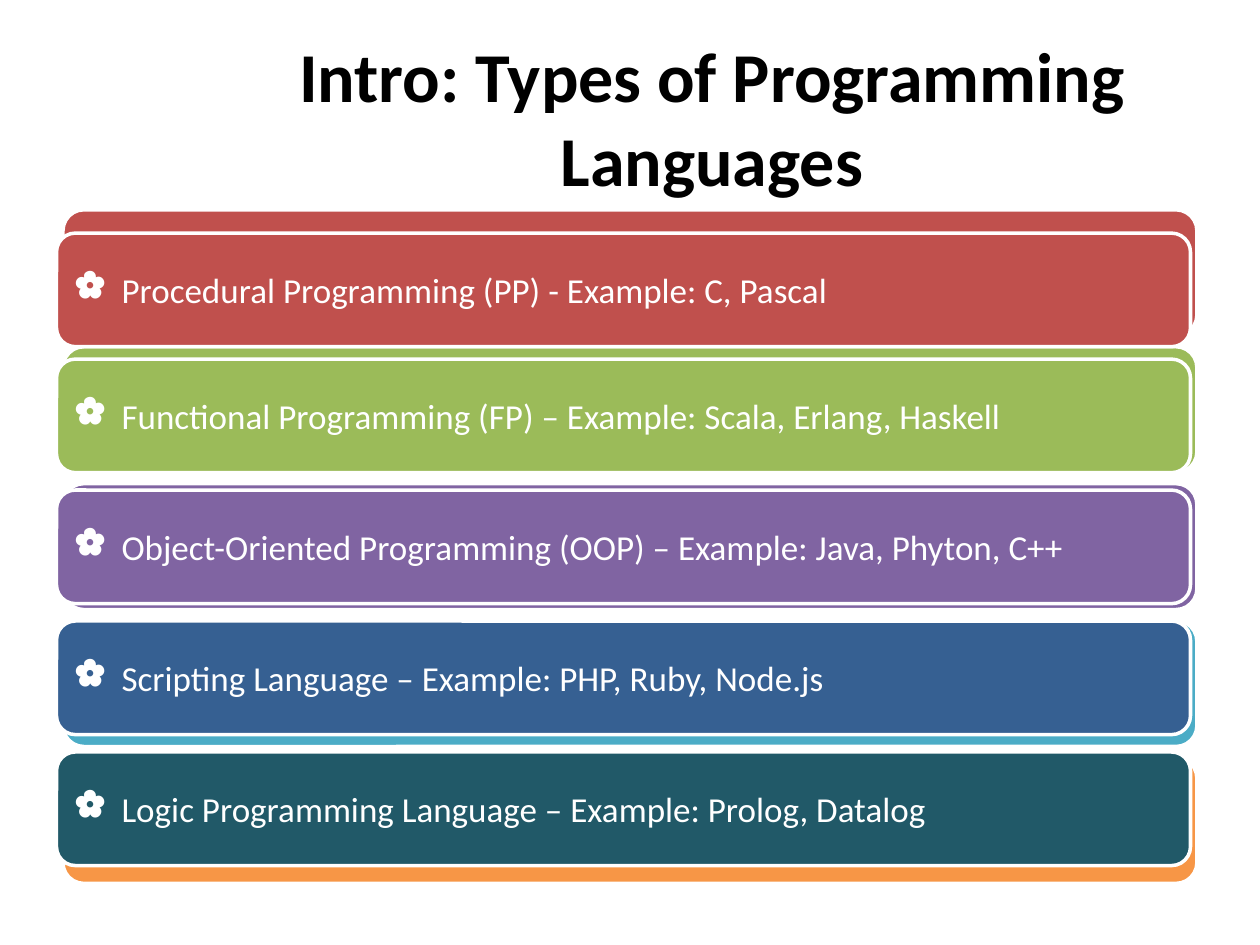
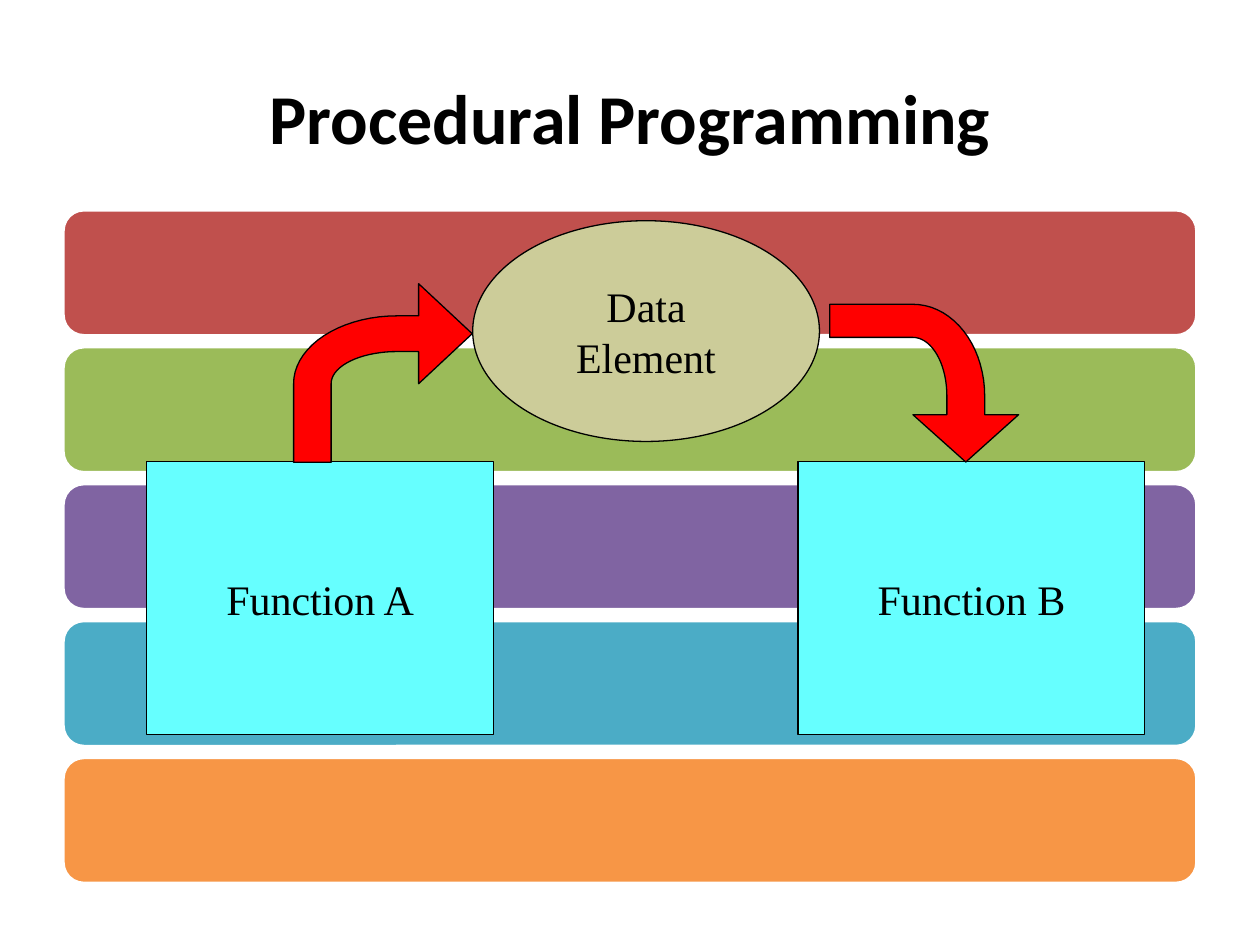
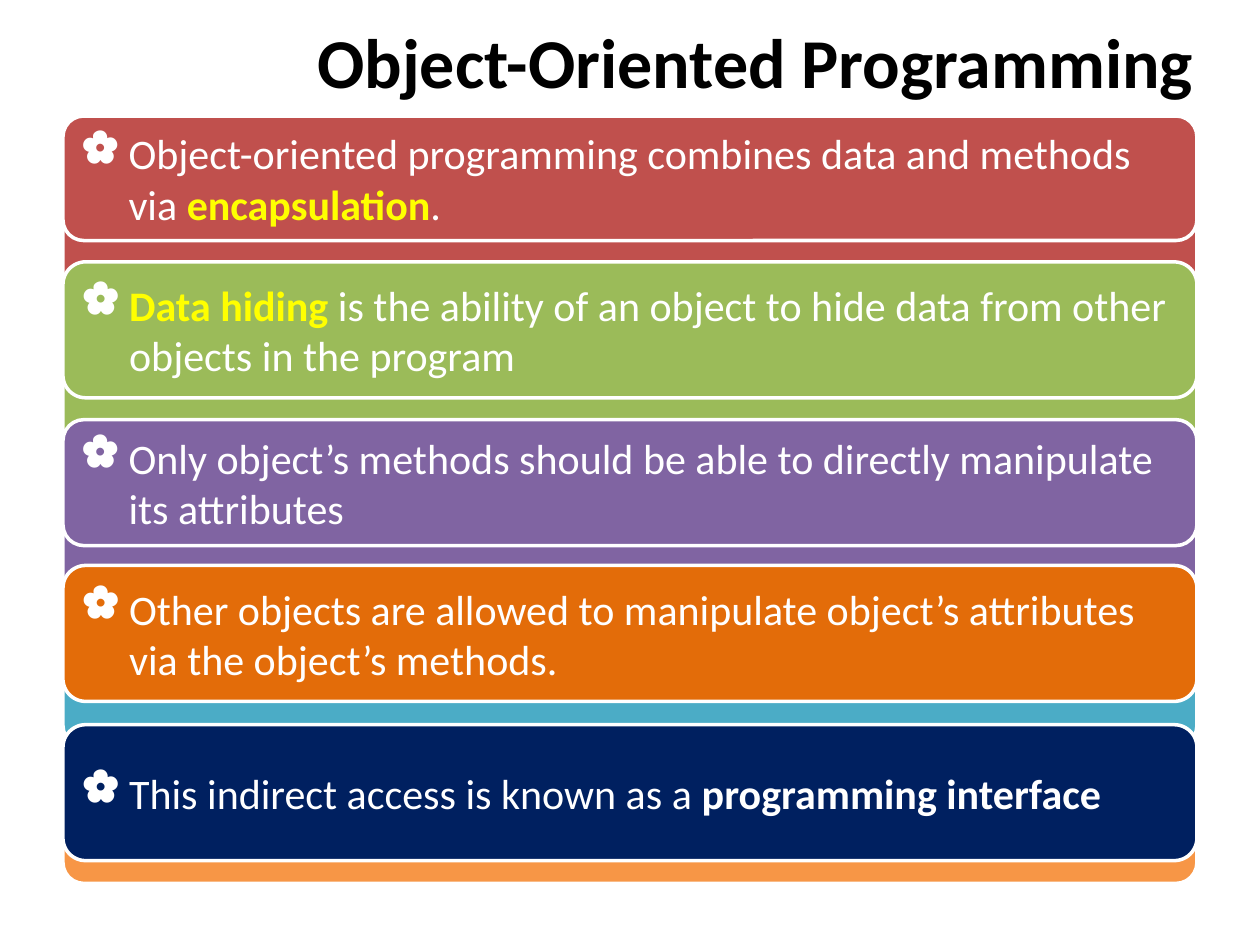
import math

import lxml.etree
import pptx
import pptx.dml.color
import pptx.enum.shapes
import pptx.enum.text
import pptx.oxml.ns
import pptx.util

Cm = pptx.util.Cm
Pt = pptx.util.Pt
KIND = pptx.enum.shapes.MSO_SHAPE
ALIGN = pptx.enum.text.PP_ALIGN

COLORS = {
    "white": "FFFFFF", "black": "000000", "yellow": "FFFF00",
    "red": "C0504D", "green": "9BBB59", "purple": "8064A2",
    "aqua": "4BACC6", "orange": "F79646", "blue": "366092",
    "teal": "215968", "rust": "E36C09", "navy": "002060",
    "cyan": "66FFFF", "sand": "CCCC99", "arrow": "FF0000",
}
HEAD = {"name": "Calibri", "size": Pt(40), "bold": True}
ITEM = {"name": "Calibri", "size": Pt(20), "bold": False}
POINT = {**ITEM, "size": Pt(24)}
STRONG = {**POINT, "bold": True}
LABEL = {"name": "Times New Roman", "size": Pt(24), "bold": False}
FLOWER = "{"  # the rosette in Wingdings
LEFT, WIDTH = 1.27, 22.86


def paint(shape, fill, line, weight):
    shape.shadow.inherit = False
    shape.fill.solid()
    shape.fill.fore_color.rgb = pptx.dml.color.RGBColor.from_string(COLORS[fill])
    shape.line.color.rgb = pptx.dml.color.RGBColor.from_string(COLORS[line])
    shape.line.width = Pt(weight)
    return shape


def write(shape, runs, align=ALIGN.CENTER, bullet=None):
    """Fill the shape with one paragraph of (text, format, color) runs."""
    frame = shape.text_frame
    frame.word_wrap = True
    frame.auto_size = pptx.enum.text.MSO_AUTO_SIZE.NONE
    frame.vertical_anchor = pptx.enum.text.MSO_ANCHOR.MIDDLE
    para = frame.paragraphs[0]
    para.alignment = align
    if bullet:
        props = para._p.get_or_add_pPr()
        props.set("marL", str(Cm(0.95)))
        props.set("indent", str(-Cm(0.95)))
        tint = lxml.etree.SubElement(props, pptx.oxml.ns.qn("a:buClr"))
        lxml.etree.SubElement(tint, pptx.oxml.ns.qn("a:srgbClr"), val=COLORS["white"])
        lxml.etree.SubElement(
            props, pptx.oxml.ns.qn("a:buFont"),
            typeface="Wingdings", pitchFamily="2", charset="2")
        lxml.etree.SubElement(props, pptx.oxml.ns.qn("a:buChar"), char=bullet)
    for text, style, color in runs:
        run = para.add_run()
        run.text = text
        for key, value in style.items():
            setattr(run.font, key, value)
        run.font.color.rgb = pptx.dml.color.RGBColor.from_string(COLORS[color])


deck = pptx.Presentation()
deck.slide_width, deck.slide_height = Cm(25.4), Cm(19.05)
layout = deck.slide_layouts.get_by_name("Title Only")

# Titles
titles = [
    ("Intro: Types of Programming Languages", (2.92, 0.76, 22.86, 3.18)),
    ("Procedural Programming", (1.27, 0.76, 22.86, 3.18)),
    ("Object-Oriented Programming", (5.28, 0.33, 19.89, 1.78)),
]
slides = []
for text, place in titles:
    slide = deck.slides.add_slide(layout)
    title = slide.shapes.title
    title.left, title.top, title.width, title.height = map(Cm, place)
    write(title, [(text, HEAD, "black")])
    slides.append(slide)
intro, flow, objects = slides

# Colored bands, moved to the layout so that every slide shows them
for row, fill in enumerate(["red", "green", "purple", "aqua", "orange"]):
    band = intro.shapes.add_shape(
        KIND.ROUNDED_RECTANGLE, Cm(LEFT), Cm(4.23 + 2.76 * row), Cm(WIDTH), Cm(2.54))
    paint(band, fill, "white", 2)
    layout.shapes.element.append(band.element)

# Bars of slides 1 and 3
bars = [
    (intro, 1.14, 4.7, 2.29, "red",
     [("Procedural Programming (PP) - Example: C, Pascal", ITEM, "white")]),
    (intro, 1.14, 7.24, 2.29, "green",
     [("Functional Programming (FP) – Example: Scala, Erlang, Haskell", ITEM, "white")]),
    (intro, 1.14, 9.88, 2.29, "purple",
     [("Object-Oriented Programming (OOP) – Example: Java, Phyton, C++", ITEM, "white")]),
    (intro, 1.14, 12.52, 2.29, "blue",
     [("Scripting Language – Example: PHP, Ruby, Node.js", ITEM, "white")]),
    (intro, 1.14, 15.16, 2.29, "teal",
     [("Logic Programming Language – Example: Prolog, Datalog", ITEM, "white")]),
    (objects, LEFT, 2.34, 2.51, "red",
     [("Object-oriented programming combines data and methods via ", POINT, "white"),
      ("encapsulation", STRONG, "yellow"), (".", POINT, "white")]),
    (objects, LEFT, 5.28, 2.74, "green",
     [("Data hiding", STRONG, "yellow"),
      (" is the ability of an object to hide data from other objects in the program",
       POINT, "white")]),
    (objects, LEFT, 8.46, 2.54, "purple",
     [("Only object’s methods should be able to directly manipulate its attributes",
       POINT, "white")]),
    (objects, LEFT, 11.4, 2.74, "rust",
     [("Other objects are allowed to manipulate object’s attributes "
       "via the object’s methods.", POINT, "white")]),
    (objects, LEFT, 14.61, 2.74, "navy",
     [("This indirect access is known as a ", POINT, "white"),
      ("programming interface", STRONG, "white")]),
]
for slide, left, top, height, fill, runs in bars:
    bar = slide.shapes.add_shape(
        KIND.ROUNDED_RECTANGLE, Cm(left), Cm(top), Cm(WIDTH), Cm(height))
    paint(bar, fill, "white", 2)
    write(bar, runs, ALIGN.LEFT, FLOWER)

# Data flow of slide 2
nodes = [
    ("Function A", KIND.RECTANGLE, "cyan", (2.96, 9.31, 6.99, 5.5)),
    ("Data Element", KIND.OVAL, "sand", (9.53, 4.45, 6.99, 4.45)),
    ("Function B", KIND.RECTANGLE, "cyan", (16.09, 9.31, 6.99, 5.5)),
]
for text, kind, fill, place in nodes:
    node = flow.shapes.add_shape(kind, *map(Cm, place))
    paint(node, fill, "black", 0.75)
    write(node, [(text, LABEL, "black")])

# Bent arrow as fractions of its width and height
turns = [math.radians(angle) for angle in range(0, 91, 5)]
outer = [(0.58 - 0.58 * math.sin(t), 0.56 - 0.38 * math.cos(t)) for t in turns]
inner = [(0.58 - 0.37 * math.cos(t), 0.56 - 0.18 * math.sin(t)) for t in turns]
bend = [(1, 0.28), (0.7, 0), (0.7, 0.18), *outer, (0, 1), (0.21, 1), *inner,
        (0.7, 0.38), (0.7, 0.56)]
arrows = [((5.92, 5.72, 3.6, 3.6), 0), ((17.04, 5.82, 3.18, 3.81), 90)]
for (left, top, width, height), angle in arrows:
    spots = [(Cm(left + x * width), Cm(top + y * height)) for x, y in bend]
    pen = flow.shapes.build_freeform(*spots[0])
    pen.add_line_segments(spots[1:], close=True)
    arrow = paint(pen.convert_to_shape(), "arrow", "black", 0.75)
    arrow.rotation = angle

deck.save("out.pptx")
